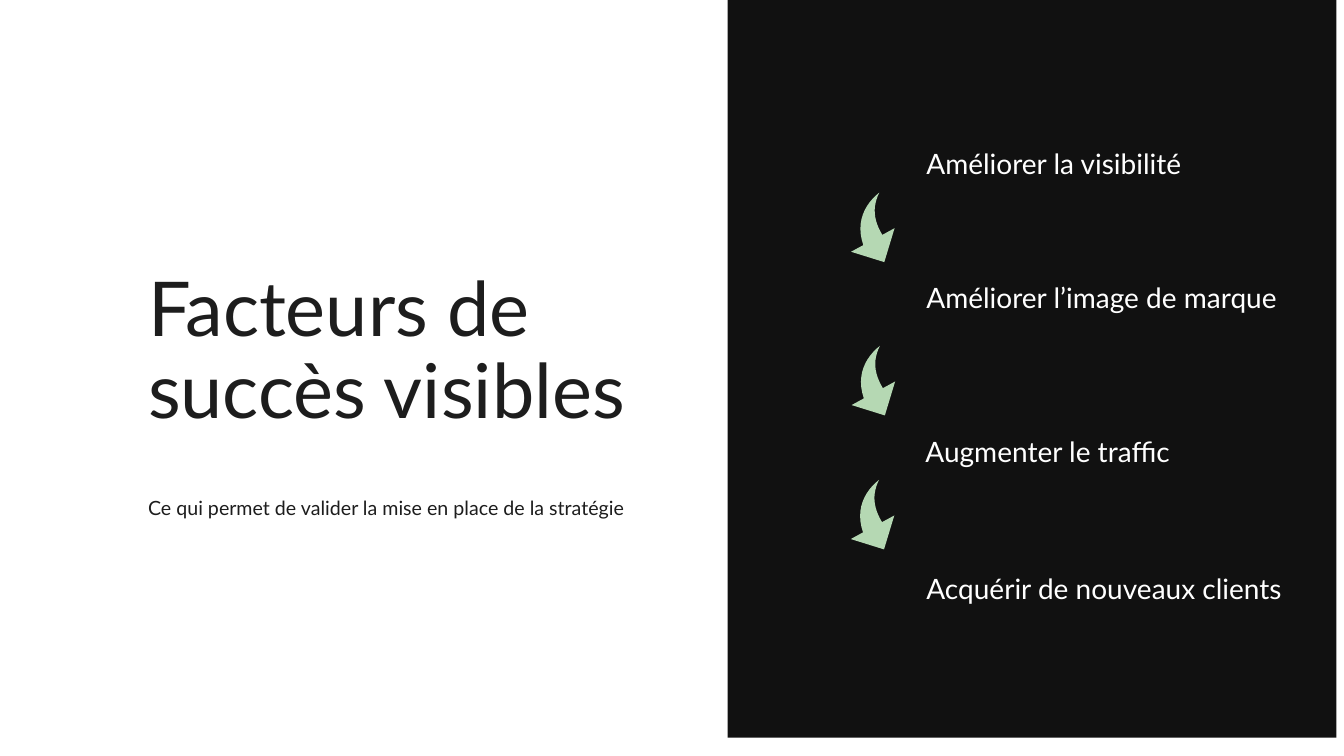
from dataclasses import dataclass

import pptx
import pptx.util
from pptx.dml.color import RGBColor
from pptx.enum.shapes import MSO_SHAPE
from pptx.enum.text import MSO_ANCHOR, MSO_AUTO_SIZE

Pt = pptx.util.Pt
COLORS = {"ink": "1D1D1D", "panel": "111111", "white": "FFFFFF", "arrow": "B5D8B3"}
FONT = "Lato"


@dataclass
class Label:
    text: str
    left: float
    top: float
    width: float
    height: float
    size: float = 20
    color: str = "white"
    spacing: float = 1.0
    anchor: MSO_ANCHOR = MSO_ANCHOR.BOTTOM


@dataclass
class Arrow:
    center_x: float
    center_y: float


# Arrow outline around its centre, pointing left before rotation
ARROW_ROTATION = 241.6
TAIL = (23.2, 19.9)
HEAD = [(-4.4, -8), (-4.4, -18), (-22.2, -0.6), (-4.4, 17.4), (-4.4, 7.4)]
INNER_CURVE = [HEAD[-1], (8.2, 6.9), (16.7, 10.7), TAIL]
OUTER_CURVE = [TAIL, (21, 7.3), (13.1, -5.2), HEAD[0]]

HEADINGS = [
    Label("Facteurs de succès visibles", 105.8, 193.7, 387.4, 118.1,
          54, "ink", 0.9, MSO_ANCHOR.TOP),
    Label("Ce qui permet de valider la mise en place de la stratégie",
          105.8, 345.6, 362.2, 22.3, 14, "ink", 1.5, MSO_ANCHOR.TOP),
]
FACTORS = [
    Label("Améliorer la visibilité", 661.7, 104.4, 213.1, 24.5),
    Label("Améliorer l’image de marque", 661.7, 200.2, 271.4, 24.5),
    Label("Augmenter le traffic", 661, 309.6, 246.2, 24.5),
    Label("Acquérir de nouveaux clients", 661.7, 407.5, 272.2, 24.5),
]
ARROWS = [Arrow(622.2, 166.5), Arrow(622.6, 276), Arrow(622, 371.7)]


def paint(s, color: str) -> None:
    s.fill.solid()
    s.fill.fore_color.rgb = RGBColor.from_string(COLORS[color])
    s.line.fill.background()
    s.shadow.inherit = False


def add_label(slide, label: Label) -> None:
    s = slide.shapes.add_textbox(Pt(label.left), Pt(label.top),
                                 Pt(label.width), Pt(label.height))
    tf = s.text_frame
    tf.word_wrap = True
    tf.auto_size = MSO_AUTO_SIZE.SHAPE_TO_FIT_TEXT
    tf.vertical_anchor = label.anchor
    tf.margin_left = tf.margin_top = tf.margin_right = tf.margin_bottom = 0
    tf.text = label.text
    p = tf.paragraphs[0]
    p.line_spacing = label.spacing
    r = p.runs[0]
    r.font.name = FONT
    r.font.size = Pt(label.size)
    r.font.color.rgb = RGBColor.from_string(COLORS[label.color])


def bezier(points: list, steps: int = 12) -> list:
    """Sample a cubic curve, leaving out its start point."""
    curve = []
    for i in range(1, steps + 1):
        t = i / steps
        weights = ((1 - t) ** 3, 3 * t * (1 - t) ** 2, 3 * t * t * (1 - t), t ** 3)
        curve.append(tuple(sum(w * pt[axis] for w, pt in zip(weights, points))
                           for axis in (0, 1)))
    return curve


def add_arrow(slide, arrow: Arrow) -> None:
    outline = HEAD + bezier(INNER_CURVE) + bezier(OUTER_CURVE)
    points = [(Pt(arrow.center_x + x), Pt(arrow.center_y + y)) for x, y in outline]
    builder = slide.shapes.build_freeform(*points[0])
    builder.add_line_segments(points[1:], close=True)
    s = builder.convert_to_shape()
    s.left = Pt(arrow.center_x) - s.width // 2
    s.top = Pt(arrow.center_y) - s.height // 2
    s.rotation = ARROW_ROTATION
    paint(s, "arrow")


def main() -> None:
    prs = pptx.Presentation()
    prs.slide_width, prs.slide_height = Pt(960), Pt(540)
    slide = prs.slides.add_slide(prs.slide_layouts[6])

    # Title and subtitle
    for label in HEADINGS:
        add_label(slide, label)

    # Dark panel
    panel = slide.shapes.add_shape(MSO_SHAPE.RECTANGLE, Pt(519.8), Pt(-13),
                                   Pt(434.9), Pt(540))
    paint(panel, "panel")

    # Success factors and the arrows between them
    for label in FACTORS:
        add_label(slide, label)
    for arrow in ARROWS:
        add_arrow(slide, arrow)

    prs.save("out.pptx")


if __name__ == "__main__":
    main()
